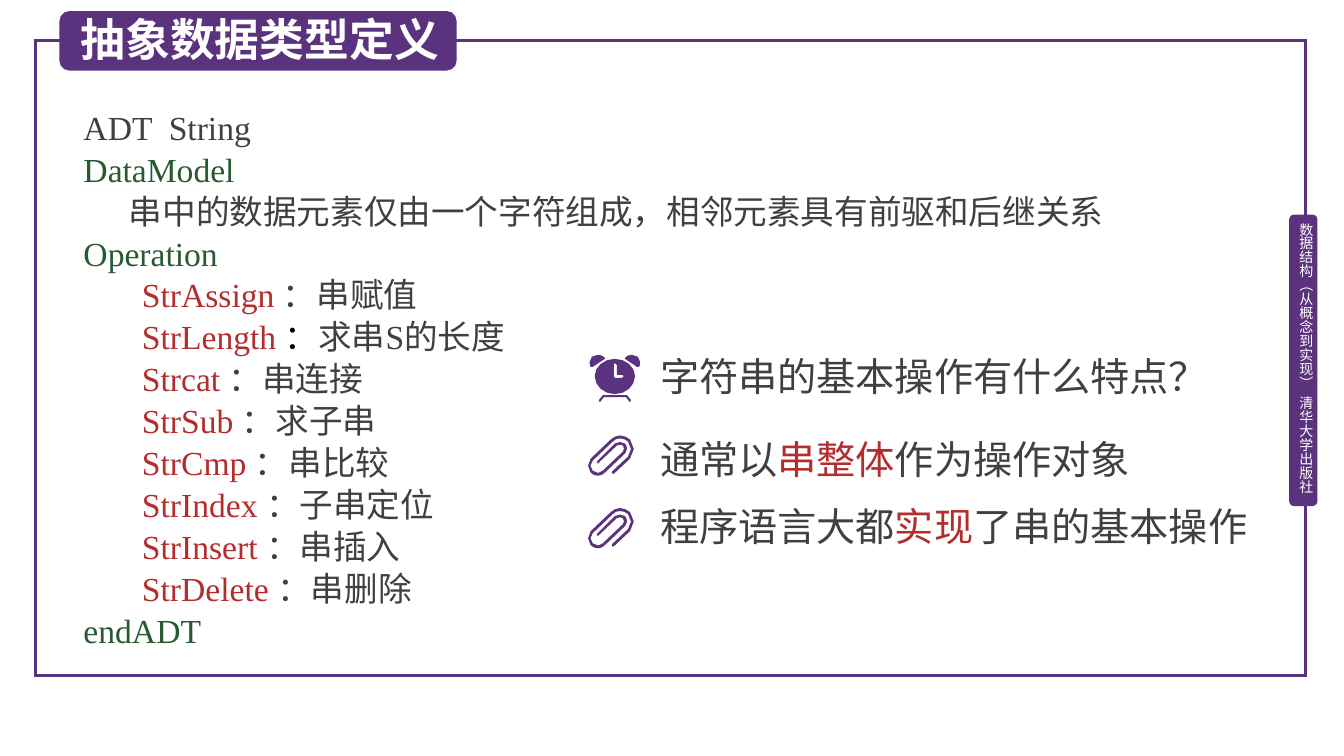
from lxml.etree import SubElement
from pptx import Presentation
from pptx.dml.color import RGBColor
from pptx.enum.shapes import MSO_SHAPE
from pptx.oxml.ns import qn
from pptx.util import Pt

PX = 9144  # 100 px to the inch
PLUM, WHITE, GRAY, BLACK = "5A327D", "FFFFFF", "404040", "000000"
GREEN, RED = "285A32", "B42D2D"
SANS, SERIF = "Noto Sans CJK SC", "Times New Roman"

deck = Presentation()
deck.slide_width, deck.slide_height = Pt(960), Pt(540)
slide = deck.slides.add_slide(deck.slide_layouts[6])
shapes = slide.shapes


def write(area, lines, size, bold=False, wrap=True, inset=None, pitch=None):
    """Add a text box; a line is (indent, runs), a run is (text, font, colour)."""
    box = shapes.add_textbox(*[n * PX for n in area])
    frame = box.text_frame
    frame.word_wrap = wrap
    if inset is not None:
        for side in ("left", "right", "top", "bottom"):
            setattr(frame, "margin_" + side, inset)
    for i, (indent, runs) in enumerate(lines):
        para = frame.add_paragraph() if i else frame.paragraphs[0]
        if indent:
            para._p.get_or_add_pPr().set("marL", str(indent * PX))
        if pitch:
            para.line_spacing = Pt(pitch)
        for text, face, color in runs:
            run = para.add_run()
            run.text = text
            form = {"name": face, "size": Pt(size), "bold": bold}
            for key, value in form.items():
                setattr(run.font, key, value)
            run.font.color.rgb = RGBColor.from_string(color)
            SubElement(run.font._element, qn("a:ea")).set("typeface", SANS)
    return box


def draw(loops, drop=0):
    """Fill loops of points; six numbers in a row are a Bezier curve."""
    pen = None
    for loop in loops:
        dots = [loop[0]]
        for step in loop[1:]:
            if len(step) == 2:
                dots.append(step)
                continue
            a, b, c, d = dots[-1], step[:2], step[2:4], step[4:]
            cuts = 4 if abs(d[0] - a[0]) > 15 else 2
            for t in [n / cuts for n in range(1, cuts + 1)]:
                u = 1 - t
                dots.append([u**3 * p + 3 * u * u * t * q + 3 * u * t * t * r + t**3 * s
                             for p, q, r, s in zip(a, b, c, d)])
        dots = [(x * PX, (y + drop) * PX) for x, y in dots]
        if pen:
            pen.move_to(*dots[0])
        else:
            pen = shapes.build_freeform(*dots[0], scale=1.0)
        pen.add_line_segments(dots[1:], close=True)
    icon = pen.convert_to_shape()
    icon.shadow.inherit = False
    icon.fill.solid()
    icon.fill.fore_color.rgb = RGBColor.from_string(PLUM)
    icon.line.fill.background()


# Frame, side tab and title tab
panels = [
    (MSO_SHAPE.RECTANGLE, (35, 40, 1260, 630), False),
    (MSO_SHAPE.ROUNDED_RECTANGLE, (1279, 213, 28, 289), True),
    (MSO_SHAPE.ROUNDED_RECTANGLE, (59, 11, 394, 59), True),
]
for kind, area, solid in panels:
    panel = shapes.add_shape(kind, *[n * PX for n in area])
    panel.shadow.inherit = False
    if solid:
        panel.fill.solid()
        panel.fill.fore_color.rgb = RGBColor.from_string(PLUM)
        panel.line.fill.background()
    else:
        panel.fill.background()
        panel.line.color.rgb = RGBColor.from_string(PLUM)
        panel.line.width = Pt(2.25)
        SubElement(panel.line._get_or_add_ln(), qn("a:miter")).set("lim", "800000")

side = write((1287, 221, 17, 281),
             [(0, [("数据结构（从概念到实现）  清华大学出版社", SANS, WHITE)])], 10, inset=0)
side.text_frame._txBody.bodyPr.set("vert", "eaVert")
write((70, 7, 405, 64), [(0, [("抽象数据类型定义", SANS, WHITE)])], 32, bold=True)

# Definition of the string type
lines = [
    (0, [("ADT  String", SERIF, GRAY)]),
    (0, [("DataModel", SERIF, GREEN)]),
    (45, [("串中的数据元素仅由一个字符组成，相邻元素具有前驱和后继关系", SERIF, GRAY)]),
    (0, [("Operation", SERIF, GREEN)]),
]
tasks = [
    ("StrAssign ", [("：", SERIF, GRAY), ("串赋值", SANS, GRAY)]),
    ("StrLength ", [("：", SERIF, BLACK), ("求串", SANS, GRAY),
                    ("S", SERIF, GRAY), ("的长度", SANS, GRAY)]),
]
for name, note in [("Strcat ", "：串连接"), ("StrSub ", "：求子串"), ("StrCmp ", "：串比较"),
                   ("StrIndex ", "：子串定位"), ("StrInsert ", "：串插入"),
                   ("StrDelete ", "：串删除")]:
    tasks.append((name, [(note, SANS, GRAY)]))
for name, rest in tasks:
    lines.append((58, [(name, SERIF, RED)] + rest))
lines.append((0, [("endADT", SERIF, GREEN)]))
write((73, 99, 1149, 545), lines, 24, pitch=30)

# Question with alarm clock
write((645, 345, 576, 57), [(0, [("字符串的基本操作有什么特点？", SANS, GRAY)])], 28)
feet = [(626, 397), (622, 392), (598, 392), (594, 397), (595, 399), (596, 398),
        (599, 394), (621, 394), (624, 398), (625, 399)]
bell = [(593, 352), (588, 352, 585, 355, 585, 359), (585, 361, 585, 363, 586, 364),
        (588, 364), (600, 356), (600, 355), (599, 353, 596, 352, 593, 352)]
twin = [[1220 - n if i % 2 == 0 else n for i, n in enumerate(step)] for step in bell]
dial = [(610, 356), (599, 356, 590, 364, 590, 373), (590, 383, 599, 391, 610, 391),
        (621, 391, 630, 383, 630, 373), (630, 364, 621, 356, 610, 356)]
hands = [(617, 375), (610, 375), (609, 373), (609, 362), (610, 360), (612, 362),
         (612, 372), (617, 372), (619, 373)]
for loops in ([feet], [bell], [twin], [dial, hands]):
    draw(loops)

# Answers with paper clips
clip = [(625, 436), (622, 434, 619, 432, 615, 432), (612, 432, 608, 434, 606, 436),
        (586, 455), (583, 459, 582, 465, 586, 469), (588, 471, 591, 472, 593, 472),
        (596, 472, 598, 471, 600, 469), (620, 450), (621, 448, 622, 447, 622, 445),
        (622, 443, 621, 441, 620, 440), (617, 438, 613, 438, 610, 440), (592, 458),
        (593, 460), (594, 459), (612, 442), (614, 441, 616, 441, 618, 442),
        (619, 445), (618, 448), (598, 467), (596, 470, 591, 470, 588, 467),
        (585, 464, 585, 460, 588, 457), (608, 438), (610, 436, 612, 435, 615, 435),
        (618, 435, 621, 436, 623, 438), (627, 442, 627, 449, 623, 453), (607, 468),
        (607, 470), (609, 470), (625, 455), (630, 450, 630, 441, 625, 436)]
answers = [
    ((645, 427, 491, 57), 0, ("通常以", "串整体", "作为操作对象")),
    ((645, 493, 609, 57), 72, ("程序语言大都", "实现", "了串的基本操作")),
]
for area, drop, parts in answers:
    runs = [(part, SANS, color) for part, color in zip(parts, (GRAY, RED, GRAY))]
    write(area, [(0, runs)], 28, wrap=False)
    draw([clip], drop)

deck.save("out.pptx")
